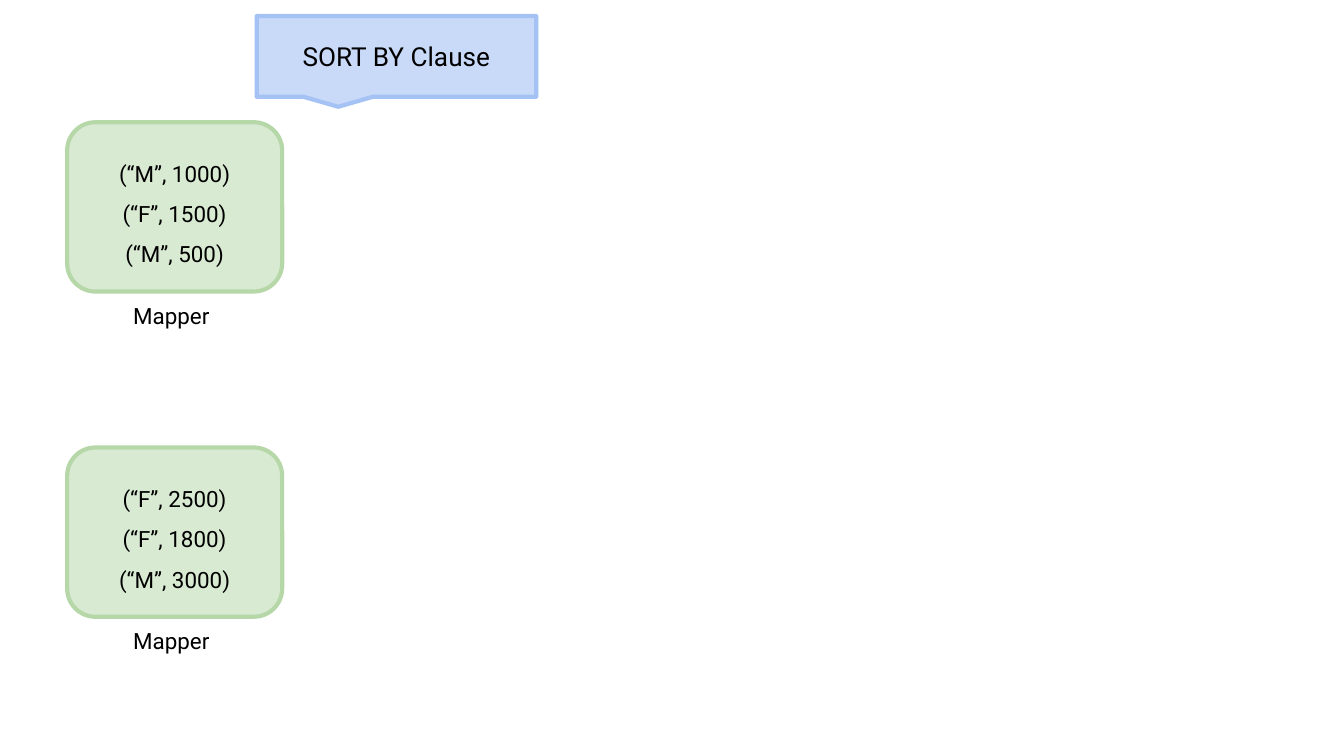
from pptx import Presentation
from pptx.dml.color import RGBColor
from pptx.enum.shapes import MSO_SHAPE
from pptx.enum.text import MSO_ANCHOR, MSO_AUTO_SIZE, PP_ALIGN
from pptx.util import Inches, Pt

MAPPERS = [
    (0.91, ["(“M”, 1000)", "(“F”, 1500)", "(“M”, 500)"]),
    (3.33, ["(“F”, 2500)", "(“F”, 1800)", "(“M”, 3000)"]),
]


def rgb(value):
    """Return the colour for a hex string."""
    return RGBColor.from_string(value)


def write(sp, lines, size=12, color="000000", spacing=None, anchor=MSO_ANCHOR.MIDDLE):
    """Fill a shape with centred paragraphs."""
    tf = sp.text_frame
    tf.word_wrap = True
    tf.vertical_anchor = anchor
    tf.margin_left = tf.margin_right = tf.margin_top = tf.margin_bottom = Inches(0.1)
    for i, line in enumerate(lines):
        p = tf.add_paragraph() if i else tf.paragraphs[0]
        p.alignment = PP_ALIGN.CENTER
        p.line_spacing = spacing
        r = p.add_run()
        r.text = line
        r.font.name = "Roboto"
        r.font.size = Pt(size)
        r.font.color.rgb = rgb(color)


def add_box(s, kind, box, adjustments, fill, line):
    """Add a filled and outlined preset shape."""
    sp = s.shapes.add_shape(kind, *map(Inches, box))
    sp.shadow.inherit = False
    for i, value in enumerate(adjustments):
        sp.adjustments[i] = value
    sp.fill.solid()
    sp.fill.fore_color.rgb = rgb(fill)
    sp.line.color.rgb = rgb(line)
    sp.line.width = Pt(2.25)
    return sp


def add_rows(s, top, rows):
    """Add the rounded box that holds a mapper's rows."""
    sp = add_box(s, MSO_SHAPE.ROUNDED_RECTANGLE, (0.5, top, 1.6, 1.26),
                 [0.167], "D9EAD3", "B6D7A8")
    write(sp, rows, spacing=1.5)


def add_caption(s, top, text):
    """Add a caption that grows with its text."""
    sp = s.shapes.add_textbox(*map(Inches, (0.85, top, 0.85, 0.4)))
    write(sp, [text], anchor=MSO_ANCHOR.TOP)
    sp.text_frame.auto_size = MSO_AUTO_SIZE.SHAPE_TO_FIT_TEXT


def main():
    """Build and save the slide."""
    prs = Presentation()
    prs.slide_width = Inches(10)
    prs.slide_height = prs.slide_width * 9 // 16
    s = prs.slides.add_slide(prs.slide_layouts[6])
    for top, rows in MAPPERS:
        add_rows(s, top, rows)
    for top, _ in reversed(MAPPERS):
        add_caption(s, top + 1.24, "Mapper")
    callout = add_box(s, MSO_SHAPE.ROUNDED_RECTANGULAR_CALLOUT, (1.91, 0.12, 2.08, 0.6),
                      [-0.208, 0.625, 0], "C9DAF8", "A4C2F4")
    write(callout, ["SORT BY Clause"], size=14)
    prs.save("out.pptx")


if __name__ == "__main__":
    main()
